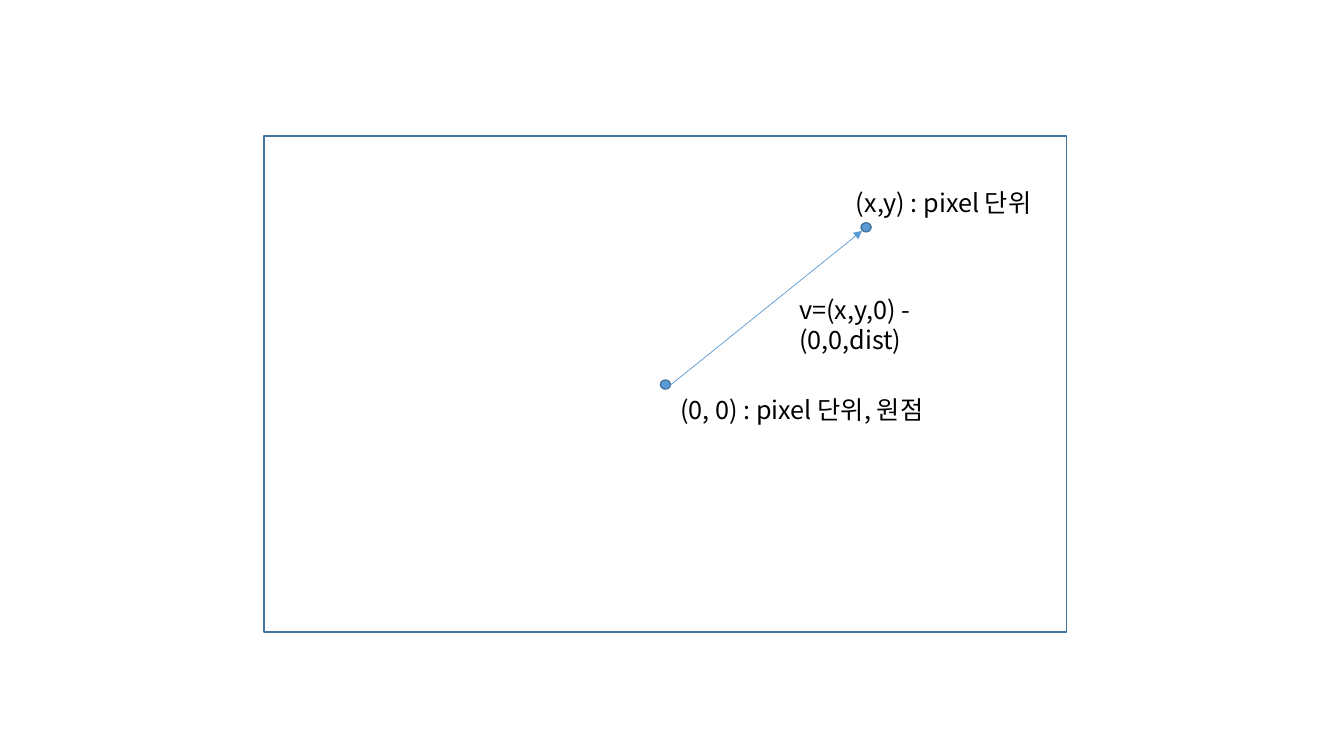
from lxml import etree
from pptx import Presentation
from pptx.dml.color import RGBColor
from pptx.enum import shapes, text
from pptx.oxml.ns import qn
from pptx.util import Inches, Pt

COLORS = {"paper": "FFFFFF", "ink": "000000", "blue": "5B9BD5", "outline": "43739E"}
FONT = "Noto Sans CJK KR"

prs = Presentation()
prs.slide_width, prs.slide_height = Inches(13.33), Inches(7.5)
slide = prs.slides.add_slide(prs.slide_layouts[6])


def add_outlined(preset, left, top, width, height, fill):
    outlined = slide.shapes.add_shape(
        preset, Inches(left), Inches(top), Inches(width), Inches(height))
    outlined.shadow.inherit = False
    outlined.fill.solid()
    outlined.fill.fore_color.rgb = RGBColor.from_string(COLORS[fill])
    outlined.line.color.rgb = RGBColor.from_string(COLORS["outline"])
    outlined.line.width = Pt(1)


def add_label(wording, left, top, width):
    label = slide.shapes.add_textbox(Inches(left), Inches(top), Inches(width), Inches(0.4))
    frame = label.text_frame
    frame.word_wrap = True
    frame.auto_size = text.MSO_AUTO_SIZE.SHAPE_TO_FIT_TEXT
    frame.text = wording
    run = frame.paragraphs[0].runs[0]
    run.font.size = Pt(18)
    run.font.name = FONT
    run.font.color.rgb = RGBColor.from_string(COLORS["ink"])
    etree.SubElement(run.font._element, qn("a:ea"), typeface=FONT)


add_outlined(shapes.MSO_SHAPE.RECTANGLE, 2.62, 1.35, 7.96, 4.92, "paper")

add_label("(x,y) : pixel 단위", 8.39, 1.81, 1.99)
add_label("(0, 0) : pixel 단위, 원점", 6.65, 3.86, 2.78)

for left, top in [(6.55, 3.77), (8.54, 2.21)]:
    add_outlined(shapes.MSO_SHAPE.OVAL, left, top, 0.1, 0.09, "blue")

vector = slide.shapes.add_connector(
    shapes.MSO_CONNECTOR.STRAIGHT, Inches(6.6), Inches(3.86), Inches(8.55), Inches(2.29))
vector.line.color.rgb = RGBColor.from_string(COLORS["blue"])
vector.line.width = Pt(0.5)
etree.SubElement(vector.line._get_or_add_ln(), qn("a:tailEnd"), type="triangle")
etree.SubElement(vector._element.spPr, qn("a:effectLst"))

add_label("v=(x,y,0) - (0,0,dist)", 7.83, 2.87, 2.36)

prs.save("out.pptx")
